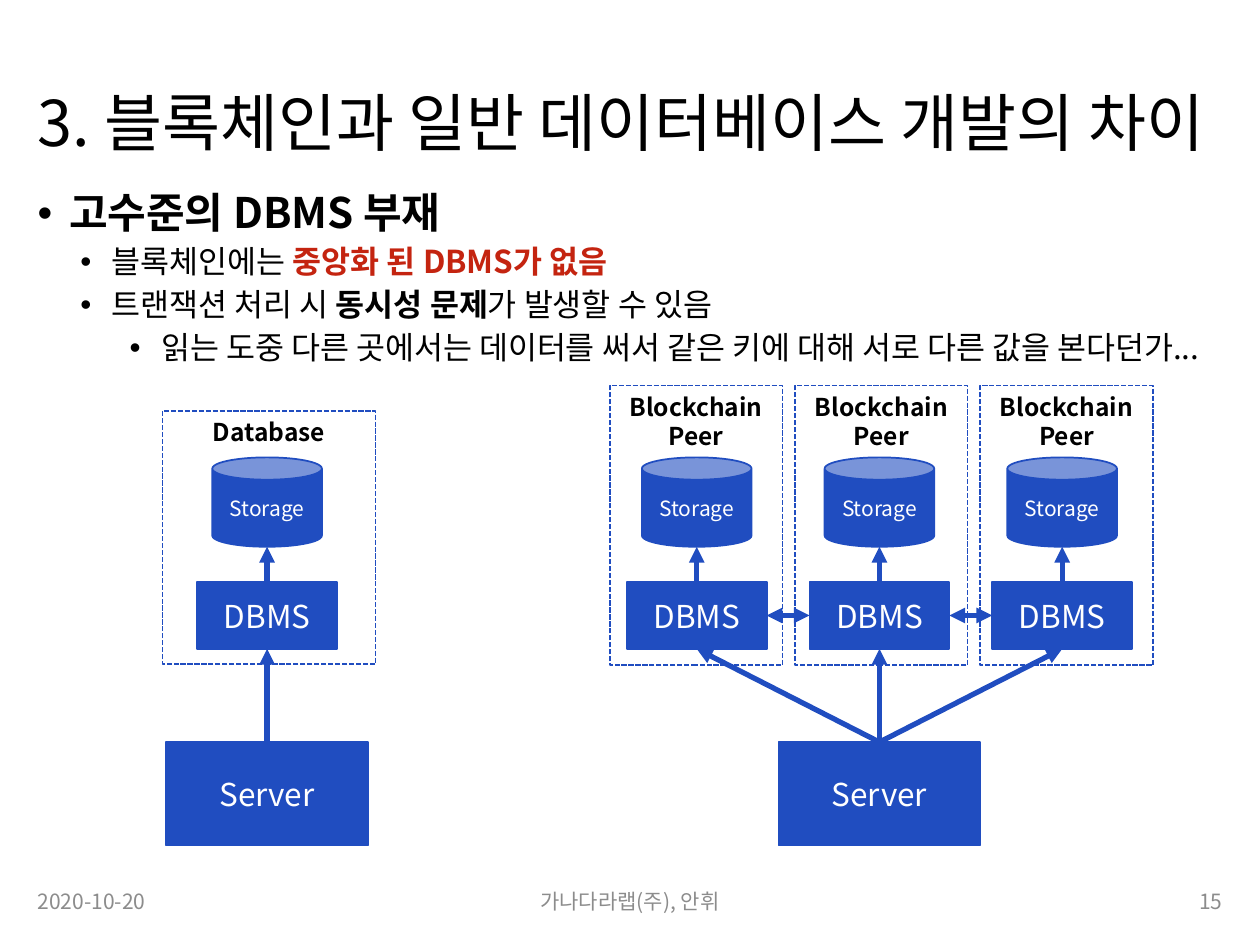
from collections import namedtuple

from lxml.etree import SubElement
from pptx import Presentation
from pptx.dml.color import RGBColor
from pptx.enum.dml import MSO_LINE
from pptx.enum.shapes import MSO_CONNECTOR, MSO_SHAPE
from pptx.enum.text import MSO_ANCHOR as Anchor, MSO_AUTO_SIZE, PP_ALIGN as Align
from pptx.oxml.ns import qn
from pptx.util import Inches, Pt

FONT = "Noto Sans CJK KR"
COLORS = {"blue": "204DC0", "red": "C42410", "black": "000000",
          "white": "FFFFFF", "gray": "8C8C8C"}

# The slide is a grid of 100 columns by 75 rows of square cells.
COLUMNS, ROWS, CELL = 100, 75, Inches(0.1)
Box = namedtuple("Box", "left top width height")

BULLETS = [  # level, size, spans of (text, bold, color)
    (0, 24, [("고수준의 DBMS 부재", True, "black")]),
    (1, 18, [("블록체인에는 ", False, "black"),
             ("중앙화 된 DBMS가 없음", True, "red")]),
    (1, 18, [("트랜잭션 처리 시 ", False, "black"),
             ("동시성 문제", True, "black"),
             ("가 발생할 수 있음", False, "black")]),
    (2, 18, [("읽는 도중 다른 곳에서는 데이터를 써서 같은 키에 대해 "
              "서로 다른 값을 본다던가...", False, "black")]),
]
INDENTS = [0.25, 0.59, 0.98]


def cells(*counts):
    return [round(count * CELL) for count in counts]


def rgb(name):
    return RGBColor.from_string(COLORS[name])


def set_font(para, size, color, bold=False):
    font = para.font
    font.size, font.bold, font.name = Pt(size), bold, FONT
    font.color.rgb = rgb(color)
    SubElement(font._element, qn("a:ea"), typeface=FONT)
    for span in para.runs:  # East Asian face for Hangul
        span.font.name = FONT
        SubElement(span.font._element, qn("a:ea"), typeface=FONT)


def write(shape, text, size, color, align=Align.LEFT, anchor=Anchor.MIDDLE, bold=False):
    frame = shape.text_frame
    frame.word_wrap, frame.vertical_anchor = True, anchor
    frame.auto_size = MSO_AUTO_SIZE.NONE
    para = frame.paragraphs[0]
    para.text, para.alignment = text, align
    set_font(para, size, color, bold)
    return para


def add_block(page, kind, box, text, size):
    """Solid blue shape with a centred white label."""
    shape = page.shapes.add_shape(kind, *cells(*box))
    shape.shadow.inherit = False
    shape.fill.solid()
    shape.fill.fore_color.rgb = shape.line.color.rgb = rgb("blue")
    shape.line.width = Pt(1)
    write(shape, text, size, "white", Align.CENTER)


def add_frame(page, box, text):
    """Dashed outline with its heading at the top."""
    shape = page.shapes.add_shape(MSO_SHAPE.RECTANGLE, *cells(*box))
    shape.shadow.inherit = False
    shape.fill.background()
    shape.line.color.rgb = rgb("blue")
    shape.line.width = Pt(1)
    shape.line.dash_style = MSO_LINE.SQUARE_DOT
    write(shape, text, 14, "black", Align.CENTER, Anchor.TOP, True)


def add_arrow(page, start, end, both=False):
    arrow = page.shapes.add_connector(MSO_CONNECTOR.STRAIGHT, *cells(*start, *end))
    arrow.line.color.rgb = rgb("blue")
    arrow.line.width = Pt(3)
    line = arrow.line._get_or_add_ln()
    for tag in (["a:headEnd"] if both else []) + ["a:tailEnd"]:
        SubElement(line, qn(tag), type="triangle")
    SubElement(arrow._element.spPr, qn("a:effectLst"))


def add_title(page, box):
    title = page.shapes.title
    title.left, title.top, title.width, title.height = cells(*box)
    para = write(title, "3. 블록체인과 일반 데이터베이스 개발의 차이", 36, "black",
                 anchor=Anchor.BOTTOM)
    para.line_spacing = 0.9


def add_bullets(page, box):
    frame = page.shapes.add_textbox(*cells(*box)).text_frame
    frame.word_wrap = True
    for index, (level, size, spans) in enumerate(BULLETS):
        para = frame.add_paragraph() if index else frame.paragraphs[0]
        para.level, para.line_spacing = level, 0.9
        para.space_before = Pt(5 if level else 18)
        properties = para._p.get_or_add_pPr()
        properties.set("marL", str(Inches(INDENTS[level])))
        properties.set("indent", str(-Inches(0.25)))
        SubElement(properties, qn("a:buFont"), typeface="Arial")
        SubElement(properties, qn("a:buChar"), char="•")
        for text, bold, color in spans:
            span = para.add_run()
            span.text, span.font.bold = text, bold
            span.font.color.rgb = rgb(color)
        set_font(para, size, "black")


def add_system(page, box, label, count, frame_width, frame_top, frame_height):
    """One server below a row of framed storage and DBMS nodes."""
    node_step, frame_step = 14.5, 14.7
    middle = box.left + box.width / 2
    centers = [middle + (i - (count - 1) / 2) * node_step for i in range(count)]
    storage_top, storage_bottom = box.top + 5.7, box.top + 12.8
    dbms_top, dbms_bottom = box.top + 15.6, box.top + 20.9
    server_top = box.top + box.height - 8.2
    half = 5.55  # half the width of a DBMS block

    for i in range(count):
        add_frame(page, Box(box.left + i * frame_step, box.top + frame_top,
                            frame_width, frame_height), label)
    for center in centers:
        add_block(page, MSO_SHAPE.RECTANGLE,
                  Box(center - half, dbms_top, 2 * half, dbms_bottom - dbms_top),
                  "DBMS", 18)
        add_block(page, MSO_SHAPE.CAN,
                  Box(center - 4.35, storage_top, 8.7, storage_bottom - storage_top),
                  "Storage", 12)
        add_arrow(page, (center, dbms_top), (center, storage_bottom))
    # Links between neighbouring nodes
    level = (dbms_top + dbms_bottom) / 2
    for left, right in zip(centers, centers[1:]):
        add_arrow(page, (left + half, level), (right - half, level), both=True)
    # Server and its links
    add_block(page, MSO_SHAPE.RECTANGLE, Box(middle - 8, server_top, 16, 8.2), "Server", 18)
    for center in centers:
        add_arrow(page, (middle, server_top), (center, dbms_bottom))


def add_footer(page, box):
    side, gap = 22.5, 1.3
    parts = [
        ("2020-10-20", 0, side, Align.LEFT),
        ("가나다라랩(주), 안휘", side + gap, box.width - 2 * (side + gap), Align.CENTER),
        ("15", box.width - side, side, Align.RIGHT),
    ]
    for text, offset, width, align in parts:
        part = page.shapes.add_textbox(
            *cells(box.left + offset, box.top, width, box.height))
        write(part, text, 12, "gray", align)


def main():
    deck = Presentation()
    deck.slide_width, deck.slide_height = cells(COLUMNS, ROWS)
    page = deck.slides.add_slide(deck.slide_layouts[5])
    add_title(page, Box(2, 1.5, 96, 11.7))
    add_bullets(page, Box(2, 14.8, 96, 53))
    # Central database on the left, blockchain peers on the right
    add_system(page, Box(12.9, 30.6, 16.6, 36.5), "Database", 1, 16.9, 2, 20.1)
    add_system(page, Box(48.4, 30.6, 42.8, 36.5), "Blockchain Peer", 3, 13.7, 0, 22.2)
    add_footer(page, Box(2, 69.5, 96, 4))
    deck.save("out.pptx")


if __name__ == "__main__":
    main()
